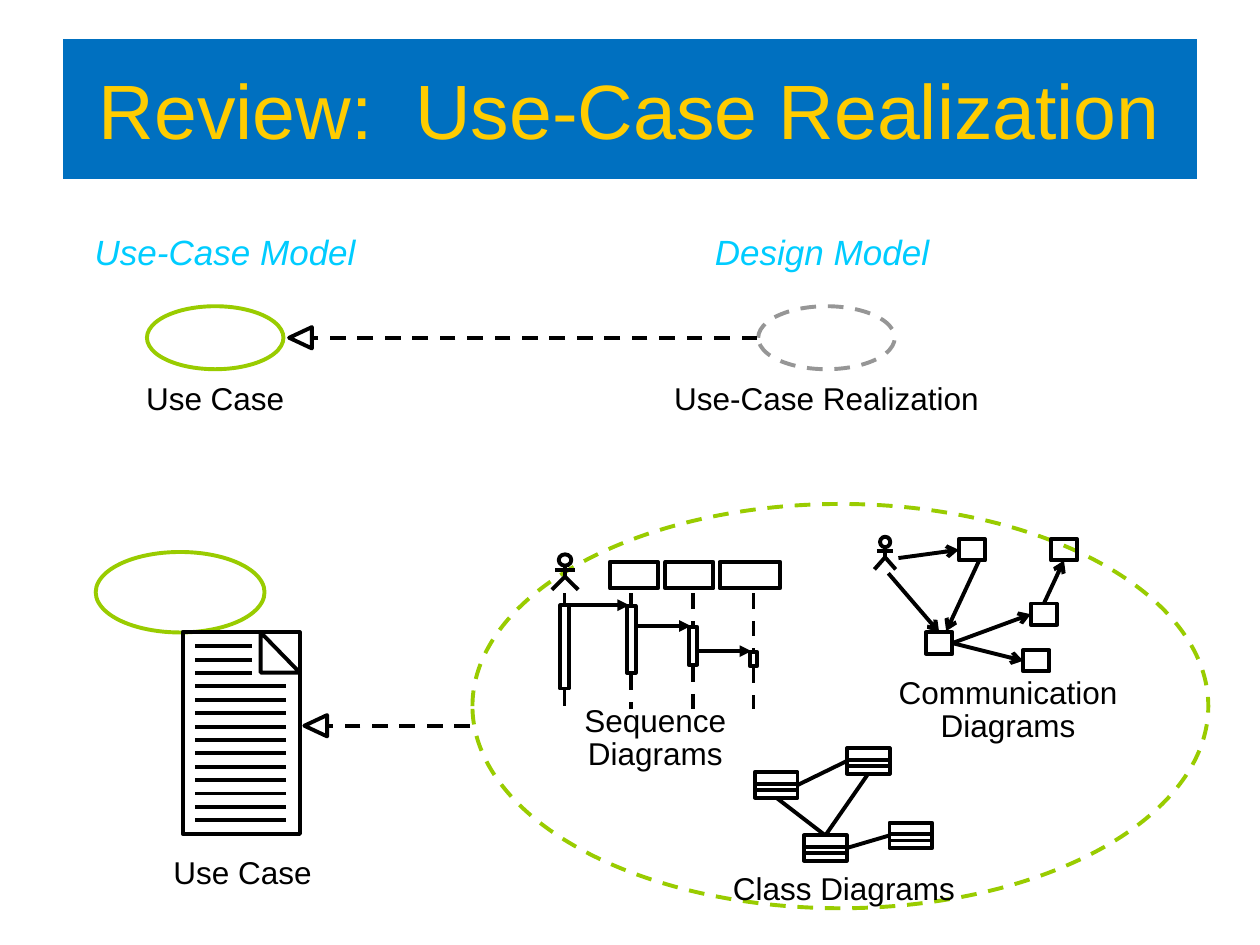
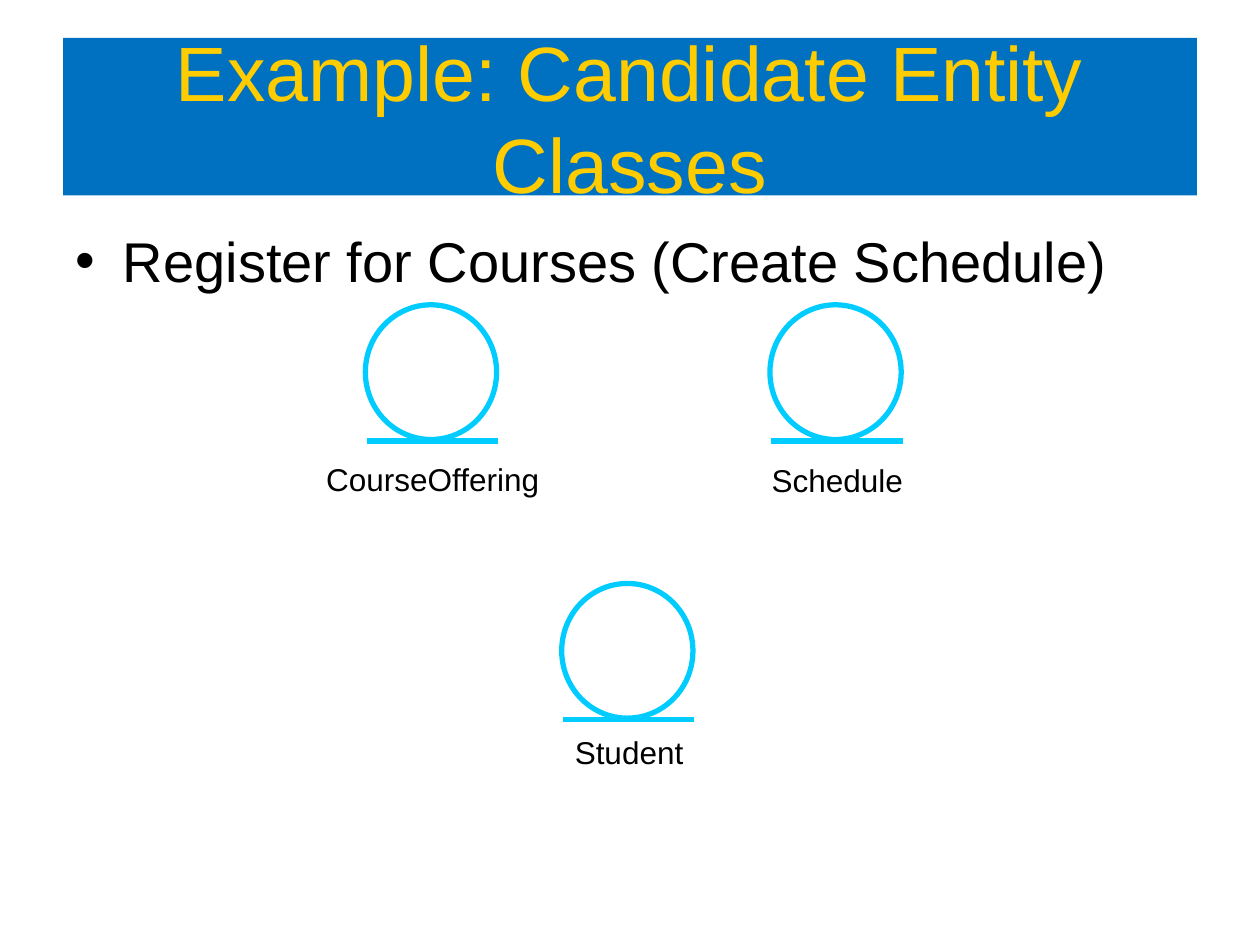
from lxml import etree
from pptx import Presentation
from pptx.dml.color import RGBColor
from pptx.enum.dml import MSO_LINE
from pptx.enum.shapes import MSO_CONNECTOR, MSO_SHAPE
from pptx.enum.text import MSO_ANCHOR, MSO_AUTO_SIZE, PP_ALIGN
from pptx.oxml.ns import qn
from pptx.util import Pt

# Shared colours, fonts and enum members
BAND_BLUE = RGBColor(0x00, 0x70, 0xC0)
TITLE_YELLOW = RGBColor(0xFF, 0xCC, 0x00)
CYAN = RGBColor(0x00, 0xCC, 0xFF)
GREEN = RGBColor(0x99, 0xCC, 0x00)
GREY = RGBColor(0x96, 0x96, 0x96)
BLACK = RGBColor(0x00, 0x00, 0x00)
FONT = "Arial"
RECTANGLE, ELLIPSE = MSO_SHAPE.RECTANGLE, MSO_SHAPE.OVAL
TRIANGLE = MSO_SHAPE.ISOSCELES_TRIANGLE
STRAIGHT = MSO_CONNECTOR.STRAIGHT
DASH = MSO_LINE.DASH
CENTER, LEFT = PP_ALIGN.CENTER, PP_ALIGN.LEFT
MIDDLE, TOP_ANCHOR = MSO_ANCHOR.MIDDLE, MSO_ANCHOR.TOP
NO_FIT = MSO_AUTO_SIZE.NONE
TOP, LEFT_SIDE, BOTTOM, RIGHT_SIDE = range(4)
LINE_WEIGHT = 2.25


def points(*values):
    return [Pt(value) for value in values]


def set_values(target, values):
    for name, value in values.items():
        setattr(target, name, value)


def format_paragraph(paragraph, size, color, alignment=CENTER, italic=False):
    set_values(paragraph, {"alignment": alignment, "space_before": Pt(0)})
    set_values(paragraph.font, {"name": FONT, "size": Pt(size), "italic": italic})
    paragraph.font.color.rgb = color


def format_line(line, color, dash, weight):
    line.color.rgb = color
    line.width = Pt(weight)
    if dash:
        line.dash_style = dash


def format_outline(shape, color=BLACK, dash=None, weight=LINE_WEIGHT):
    shape.shadow.inherit = False
    shape.fill.background()
    format_line(shape.line, color, dash, weight)
    return shape


def add_outline(shapes, kind, left, top, width, height, **line):
    shape = shapes.add_shape(kind, *points(left, top, width, height))
    return format_outline(shape, **line)


def add_path(shapes, vertices, close):
    start, *rest = [points(x, y) for x, y in vertices]
    builder = shapes.build_freeform(*start)
    builder.add_line_segments(rest, close=close)
    return format_outline(builder.convert_to_shape())


def add_line(shapes, start, end, color=BLACK, dash=None, weight=LINE_WEIGHT, arrow=None):
    """Draw a line; each end is a point or a (shape, side) pair to join."""
    def is_point(place):
        return isinstance(place[0], (int, float))

    first = start if is_point(start) else (0, 0)
    last = end if is_point(end) else (0, 0)
    connector = shapes.add_connector(STRAIGHT, *points(*first, *last))
    if not is_point(start):
        connector.begin_connect(*start)
    if not is_point(end):
        connector.end_connect(*end)
    format_line(connector.line, color, dash, weight)
    properties = connector._element.spPr
    if arrow:
        etree.SubElement(properties.find(qn("a:ln")), qn("a:tailEnd"), type=arrow)
    etree.SubElement(properties, qn("a:effectLst"))
    return connector


def add_label(shapes, text, center, top, width, size=18, color=BLACK,
              italic=False, height=28.8, spacing=None):
    box = shapes.add_textbox(*points(center - width / 2, top, width, height))
    frame = box.text_frame
    set_values(frame, {"word_wrap": True, "margin_left": 0, "margin_right": 0,
                       "margin_top": Pt(3.6), "margin_bottom": Pt(3.6)})
    paragraph = frame.paragraphs[0]
    paragraph.text = text
    format_paragraph(paragraph, size, color, italic=italic)
    if spacing:
        paragraph.line_spacing = Pt(spacing)


def place(shape, left, top, width, height):
    names = ("left", "top", "width", "height")
    set_values(shape, dict(zip(names, points(left, top, width, height))))


def add_titled_slide(presentation, layout, text, top, height):
    """Slide with the yellow title on a blue band."""
    slide = presentation.slides.add_slide(presentation.slide_layouts[layout])
    title = slide.shapes.title
    place(title, 36, top, 648, height)
    title.fill.solid()
    title.fill.fore_color.rgb = BAND_BLUE
    title.text_frame.text = text
    set_values(title.text_frame, {"auto_size": NO_FIT, "vertical_anchor": MIDDLE})
    format_paragraph(title.text_frame.paragraphs[0], 44, TITLE_YELLOW)
    return slide


def add_group(slide):
    return slide.shapes.add_group_shape().shapes


# Parts of the use-case realization slide
def add_realization_arrow(slide, tip, y, end):
    """Dashed line with a hollow head that points left."""
    shapes = add_group(slide)
    width, height = 12.2, 13
    head = add_outline(shapes, TRIANGLE, tip + (height - width) / 2,
                       y - height / 2, width, height)
    head.rotation = 270
    add_line(shapes, (end, y), (tip + height + 0.5, y), dash=DASH)


def add_model_column(slide, center, top, heading, heading_shift, name, **line):
    shapes = add_group(slide)
    add_label(shapes, heading, center + heading_shift, top, 166, 20, CYAN, True)
    add_outline(shapes, ELLIPSE, center - 39, top + 47, 78, 36, **line)
    add_label(shapes, name, center, top + 85, 200)


def add_use_case_document(slide, left, top):
    shapes = add_group(slide)
    width, height, fold_left, fold_depth = 67, 115.2, 44.6, 23
    add_outline(shapes, ELLIPSE, left - 49.7, top - 46, 96.5, 46, color=GREEN)
    add_outline(shapes, RECTANGLE, left, top, width, height)
    add_path(shapes, [(left + fold_left, top), (left + width, top + fold_depth),
                      (left + fold_left, top + fold_depth)], True)
    for row in range(14):
        y = top + 7.9 + row * 7.65
        end = 39.6 if row < 3 else 59
        add_line(shapes, (left + 7.2, y), (left + end, y))
    add_label(shapes, "Use Case", left + width / 2 + 0.7, top + 122.4, 122)


def add_actor(shapes, left, top, width, height):
    center, arms, hips = left + width / 2, top + 0.43 * height, top + 0.63 * height
    head_width, head_height, arm = 0.48 * width, 0.32 * height, 0.38 * width
    add_outline(shapes, ELLIPSE, center - head_width / 2, top, head_width, head_height)
    add_line(shapes, (center, top + head_height), (center, hips))
    add_line(shapes, (center - arm, arms), (center + arm, arms))
    add_path(shapes, [(left, top + height), (center, hips),
                      (left + width, top + height)], False)


def add_sequence_diagram(slide, left, top):
    shapes = add_group(slide)
    add_actor(shapes, left, top, 15, 20.2)
    for object_left, object_width in ((33.1, 27.4), (64.8, 27.4), (95.8, 34.6)):
        add_outline(shapes, RECTANGLE, left + object_left, top + 4.3, object_width, 15.1)

    # Lifelines: x, then top, height and width of the activation bar
    lifelines = [(7.2, 29.2, 47.5, 5), (45.4, 29.5, 38.2, 5),
                 (80.6, 41.4, 21.6, 5), (115.2, 55.8, 7.9, 4.3)]
    for x, bar_top, bar_height, bar_width in lifelines:
        for start, end in ((22.3, bar_top), (bar_top + bar_height + 1, 88.6)):
            add_line(shapes, (left + x, top + start), (left + x, top + end), dash=DASH)
        add_outline(shapes, RECTANGLE, left + x - bar_width / 2, top + bar_top,
                    bar_width, bar_height)

    # Each message reaches the top of the next bar
    for source, target in zip(lifelines, lifelines[1:]):
        y = top + target[1] - 0.5
        add_line(shapes, (left + source[0] + 2.5, y), (left + target[0] - 1.2, y),
                 arrow="triangle")
    add_label(shapes, "Sequence Diagrams", left + 59, top + 82.8, 110,
              height=45.4, spacing=19)


def add_communication_diagram(slide, left, top):
    shapes = add_group(slide)
    add_actor(shapes, left, top, 12.2, 18.7)
    first, hub, lower, upper, last = [
        add_outline(shapes, RECTANGLE, left + x, top + y, 15, 12.2)
        for x, y in ((48.2, 1.4), (29.5, 54.7), (85, 64.8), (89.3, 38.2), (100.8, 1.4))]
    messages = [
        ((left + 13.7, top + 12.2), (first, LEFT_SIDE)),
        ((left + 7.9, top + 20.9), (hub, TOP)),
        ((left + 59.8, top + 13.7), (left + 41, top + 54)),
        ((hub, RIGHT_SIDE), (lower, LEFT_SIDE)),
        ((hub, RIGHT_SIDE), (upper, LEFT_SIDE)),
        ((upper, TOP), (last, BOTTOM)),
    ]
    for start, end in messages:
        add_line(shapes, start, end, arrow="arrow")
    add_label(shapes, "Communication Diagrams", left + 76.3, top + 77, 160,
              height=45.4, spacing=19)


def add_class_box(shapes, left, top):
    width, height = 24.5, 14.4
    box = add_outline(shapes, RECTANGLE, left, top, width, height)
    for divider in (6.5, 10.1):
        add_line(shapes, (left, top + divider), (left + width, top + divider))
    return box


def add_class_diagram(slide, left, top):
    shapes = add_group(slide)
    west, north, south, east = [
        add_class_box(shapes, left + x, top + y)
        for x, y in ((0, 13.7), (52.6, 0), (28.1, 49.7), (77, 42.5))]
    for start, end in (((south, TOP), (west, BOTTOM)),
                       ((west, RIGHT_SIDE), (north, LEFT_SIDE)),
                       ((south, RIGHT_SIDE), (east, LEFT_SIDE)),
                       ((south, TOP), (north, BOTTOM))):
        add_line(shapes, start, end)
    add_label(shapes, "Class Diagrams", left + 51, top + 65.5, 141)


def build_realization_slide(presentation):
    slide = add_titled_slide(presentation, 5, "Review:  Use-Case Realization", 22.3, 80)
    add_model_column(slide, 123, 128, "Use-Case Model", 5.7, "Use Case", color=GREEN)
    add_model_column(slide, 472.3, 128, "Design Model", -2.5, "Use-Case Realization",
                     color=GREY, dash=DASH)
    add_realization_arrow(slide, 165.2, 193, 432.7)
    add_outline(slide.shapes, ELLIPSE, 270, 288, 420.5, 231, color=GREEN, dash=DASH)
    add_use_case_document(slide, 104.4, 361.4)
    add_realization_arrow(slide, 173.9, 414.7, 268.6)
    add_sequence_diagram(slide, 315.4, 316.8)
    add_communication_diagram(slide, 499.7, 306.7)
    add_class_diagram(slide, 431.3, 427.7)


# Parts of the entity class slide
def add_entity(slide, left, top, name, label_top):
    """Entity symbol: a circle that rests on a line."""
    shapes = add_group(slide)
    add_outline(shapes, ELLIPSE, left, top, 75, 77, color=CYAN, weight=3)
    add_line(shapes, (left + 0.7, top + 77.8), (left + 75.8, top + 77.8),
             color=CYAN, weight=3)
    add_label(shapes, name, left + 38.5, top + label_top, 130)


def build_entity_slide(presentation):
    slide = add_titled_slide(presentation, 1, "Example: Candidate Entity Classes", 21.6, 90)
    body = slide.placeholders[1]
    place(body, 36, 126, 648, 356.4)
    body.text_frame.text = "Register for Courses (Create Schedule)"
    set_values(body.text_frame, {"auto_size": NO_FIT, "vertical_anchor": TOP_ANCHOR})
    format_paragraph(body.text_frame.paragraphs[0], 32, BLACK, LEFT)
    add_entity(slide, 208.8, 174.2, "CourseOffering", 85)
    add_entity(slide, 440, 174.2, "Schedule", 86)
    add_entity(slide, 321, 333.4, "Student", 82)


def main():
    presentation = Presentation()
    set_values(presentation, {"slide_width": Pt(720), "slide_height": Pt(540)})
    build_realization_slide(presentation)
    build_entity_slide(presentation)
    presentation.save("out.pptx")


if __name__ == "__main__":
    main()
